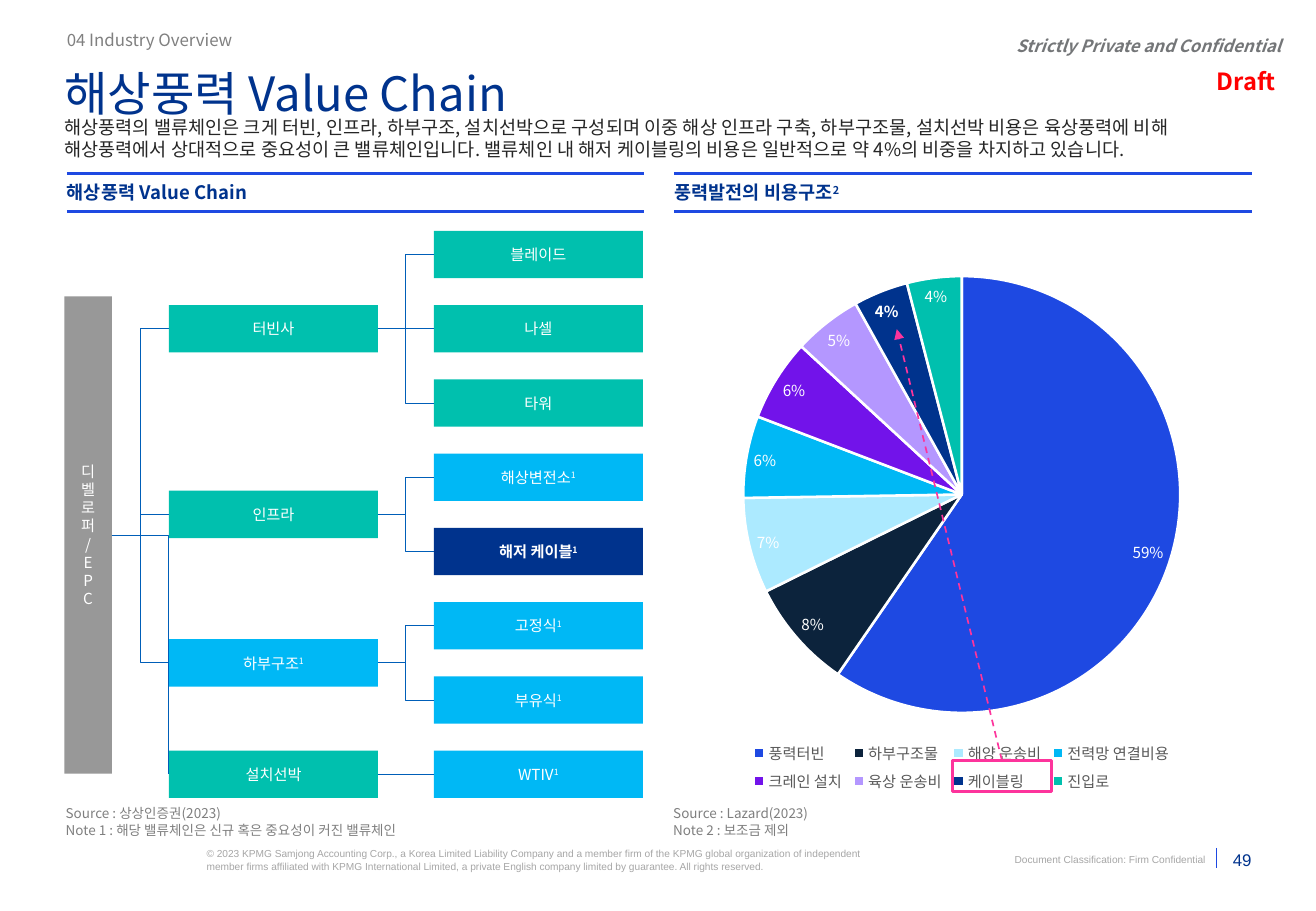
from lxml import etree
from pptx import Presentation
from pptx.chart.data import CategoryChartData
from pptx.dml.color import RGBColor
from pptx.enum.chart import XL_CHART_TYPE, XL_LABEL_POSITION, XL_LEGEND_POSITION
from pptx.enum.dml import MSO_LINE
from pptx.enum.shapes import MSO_CONNECTOR, MSO_SHAPE
from pptx.enum.text import MSO_ANCHOR as ANCHOR, PP_ALIGN as ALIGN
from pptx.oxml import parse_xml
from pptx.oxml.ns import nsdecls, qn
from pptx.util import Inches, Pt

FONT = "Noto Sans CJK KR"
NAVY, BLUE, TEAL, SKY, PINK = "00338D", "1E49E2", "00C0AE", "00B8F5", "FD349C"
GRAY, LIGHT_GRAY, WHITE, LINK = "7F7F7F", "A6A6A6", "FFFFFF", "005EB8"

SUMMARY = (
    "해상풍력의 밸류체인은 크게 터빈, 인프라, 하부구조, 설치선박으로 구성되며 이중 해상 인프라 구축, "
    "하부구조물, 설치선박 비용은 육상풍력에 비해 해상풍력에서 상대적으로 중요성이 큰 밸류체인입니다. "
    "밸류체인 내 해저 케이블링의 비용은 일반적으로 약 4%의 비중을 차지하고 있습니다."
)
COPYRIGHT = (
    "© 2023 KPMG Samjong Accounting Corp., a Korea Limited Liability Company and a member firm of the "
    "KPMG global organization of independent member firms affiliated with KPMG International Limited, "
    "a private English company limited by guarantee. All rights reserved."
)
PANELS = [
    (0.55, "해상풍력 Value Chain", "", ["Source : 상상인증권(2023)", "Note 1 : 해당 밸류체인은 신규 혹은 중요성이 커진 밸류체인"]),
    (5.55, "풍력발전의 비용구조", "2", ["Source : Lazard(2023)", "Note 2 : 보조금 제외"]),
]
DEVELOPER = ["디", "벨", "로", "퍼", "/", "E", "P", "C"]
CHAIN = [
    ("터빈사", "", TEAL, [("블레이드", "", TEAL), ("나셀", "", TEAL), ("타워", "", TEAL)]),
    ("인프라", "", TEAL, [("해상변전소", "1", SKY), ("해저 케이블", "1", NAVY)]),
    ("하부구조", "1", SKY, [("고정식", "1", SKY), ("부유식", "1", SKY)]),
    ("설치선박", "", TEAL, [("WTIV", "1", SKY)]),
]
COSTS = [
    ("풍력터빈", 0.59, BLUE), ("하부구조물", 0.08, "0C233C"), ("해양 운송비", 0.07, "ACEAFF"),
    ("전력망 연결비용", 0.06, SKY), ("크레인 설치", 0.06, "7213EA"), ("육상 운송비", 0.05, "B497FF"),
    ("케이블링", 0.04, NAVY), ("진입로", 0.04, TEAL),
]
CABLE_INDEX = 6
PANEL_WIDTH, PANEL_TOP, PANEL_BOTTOM = 4.75, 1.43, 1.74
BOX_WIDTH, BOX_HEIGHT = 1.72, 0.39
PARENT_LEFT, CHILD_LEFT = 1.39, 3.57
ROW_TOP, ROW_PITCH = 1.9, 0.6114

presentation = Presentation()
presentation.slide_width = Inches(10.83)
presentation.slide_height = Inches(7.5)
slide = presentation.slides.add_slide(presentation.slide_layouts[6])
shapes = slide.shapes


def rgb(color):
    return RGBColor.from_string(color)


def style_font(font, size, color, bold=False, italic=False, name=FONT):
    font.size, font.bold, font.italic, font.name = Pt(size), bold, italic, name
    font.color.rgb = rgb(color)


def write(shape, lines, size, color, align=ALIGN.LEFT, anchor=ANCHOR.TOP, margin=0,
          wrap=True, spacing=None, note="", **style):
    frame = shape.text_frame
    frame.word_wrap = wrap
    frame.vertical_anchor = anchor
    frame.margin_left = frame.margin_right = frame.margin_top = frame.margin_bottom = Inches(margin)
    frame.text = "\n".join(lines)
    if note:
        run = frame.paragraphs[-1].add_run()
        run.text = note
        run.font._element.set("baseline", "30000")
    for paragraph in frame.paragraphs:
        paragraph.alignment = align
        if spacing:
            paragraph.line_spacing = Pt(spacing)
        for run in paragraph.runs:
            style_font(run.font, size, color, **style)
            east_asian = etree.SubElement(run.font._element, qn("a:ea"))
            east_asian.set("typeface", style.get("name", FONT))


def add_text(left, top, width, height, lines, size, color, **options):
    box = shapes.add_textbox(Inches(left), Inches(top), Inches(width), Inches(height))
    write(box, lines, size, color, **options)


def add_box(left, top, width, height, lines, fill, **options):
    box = shapes.add_shape(MSO_SHAPE.RECTANGLE, Inches(left), Inches(top), Inches(width), Inches(height))
    box.shadow.inherit = False
    box.fill.solid()
    box.fill.fore_color.rgb = rgb(fill)
    box.line.fill.background()
    write(box, lines, 9, WHITE, align=ALIGN.CENTER, anchor=ANCHOR.MIDDLE, margin=0.06, **options)
    return box


def add_line(x1, y1, x2, y2, color, width, kind=MSO_CONNECTOR.STRAIGHT):
    line = shapes.add_connector(kind, Inches(x1), Inches(y1), Inches(x2), Inches(y2))
    line.line.color.rgb = rgb(color)
    line.line.width = Pt(width)
    etree.SubElement(line._element.spPr, qn("a:effectLst"))
    return line


def link(start, end):
    kind = MSO_CONNECTOR.STRAIGHT if start.top == end.top else MSO_CONNECTOR.ELBOW
    line = add_line(0, 0, 1, 1, LINK, 0.5, kind)
    line.begin_connect(start, 3)
    line.end_connect(end, 1)


def add_tree():
    developer = add_box(0.53, 2.44, BOX_HEIGHT, 3.93, DEVELOPER, "989898", spacing=10.8)
    developer_right, developer_middle = 0.92, 4.41
    trunk = (developer_right + PARENT_LEFT) / 2
    row = 0
    for name, note, fill, children in CHAIN:
        parent_top = ROW_TOP + ROW_PITCH * (row + (len(children) - 1) / 2)
        parent_middle = parent_top + BOX_HEIGHT / 2
        parent = add_box(PARENT_LEFT, parent_top, BOX_WIDTH, BOX_HEIGHT, [name], fill, note=note)
        for child_name, child_note, child_fill in children:
            child = add_box(CHILD_LEFT, ROW_TOP + ROW_PITCH * row, BOX_WIDTH, BOX_HEIGHT, [child_name],
                            child_fill, note=child_note, bold=child_fill == NAVY)
            link(parent, child)
            row += 1
        if name == "인프라":
            add_line(trunk, parent_middle, PARENT_LEFT, parent_middle, LINK, 0.5).end_connect(parent, 1)
        elif name == "설치선박":
            corner = add_line(developer_right, developer_middle, PARENT_LEFT, parent_middle, LINK, 0.5,
                              MSO_CONNECTOR.ELBOW)
            corner._element.spPr.find(qn("a:prstGeom")).set("prst", "bentConnector2")
        else:
            link(developer, parent)


def set_layout(parent, x, y, w, h, inner=False):
    for old in parent.findall(qn("c:layout")):
        parent.remove(old)
    target = '<c:layoutTarget val="inner"/>' if inner else ""
    sizes = "".join(f'<c:{key} val="{value}"/>' for key, value in zip("xywh", (x, y, w, h)))
    layout = parse_xml(
        f'<c:layout {nsdecls("c")}><c:manualLayout>{target}<c:xMode val="edge"/><c:yMode val="edge"/>'
        f"{sizes}</c:manualLayout></c:layout>")
    position = parent.find(qn("c:legendPos"))
    parent.insert(0 if position is None else 1, layout)


def add_cost_chart():
    data = CategoryChartData(number_format="0%")
    data.categories = [name for name, _, _ in COSTS]
    data.add_series("Series 1", [value for _, value, _ in COSTS])
    chart = shapes.add_chart(XL_CHART_TYPE.PIE, Inches(5.53), Inches(1.9), Inches(4.77), Inches(4.67), data).chart
    style_font(chart.font, 9, "000000")
    chart.has_title = False
    chart.has_legend = True
    chart.legend.position = XL_LEGEND_POSITION.BOTTOM
    chart.legend.include_in_layout = False
    style_font(chart.legend.font, 9, "595959")
    plot = chart.plots[0]
    plot.vary_by_categories = True
    series = plot.series[0]
    for index, (_, _, color) in enumerate(COSTS):
        slice_format = series.points[index].format
        slice_format.fill.solid()
        slice_format.fill.fore_color.rgb = rgb(color)
        slice_format.line.color.rgb = rgb(WHITE)
        slice_format.line.width = Pt(1.5)
    labels = series.data_labels
    labels.show_value = True
    labels.show_percentage = False
    labels.number_format, labels.number_format_is_linked = "0%", False
    labels.position = XL_LABEL_POSITION.BEST_FIT
    style_font(labels.font, 9, WHITE)
    cable_label = series.points[CABLE_INDEX].data_label
    style_font(cable_label.font, 9, WHITE, bold=True)
    cable_label.position = XL_LABEL_POSITION.BEST_FIT
    set_layout(chart._chartSpace.chart.plotArea, 0.12, 0.08, 0.76, 0.77, inner=True)
    set_layout(chart.legend._element, 0.13, 0.89, 0.74, 0.11)


def add_cable_callout():
    frame = shapes.add_shape(MSO_SHAPE.RECTANGLE, Inches(7.84), Inches(6.26), Inches(0.81), Inches(0.26))
    frame.shadow.inherit = False
    frame.fill.background()
    frame.line.color.rgb = rgb(PINK)
    frame.line.width = Pt(1.75)
    arrow = add_line(8.24, 6.26, 7.38, 2.71, PINK, 1)
    arrow.begin_connect(frame, 0)
    arrow.line.dash_style = MSO_LINE.DASH
    etree.SubElement(arrow.line._get_or_add_ln(), qn("a:tailEnd")).set("type", "triangle")


add_text(10.03, 7, 0.27, 0.16, ["49"], 10, NAVY, align=ALIGN.RIGHT, anchor=ANCHOR.BOTTOM, name="Arial")
add_text(7.92, 7.03, 2, 0.1, ["Document Classification: Firm Confidential"], 6, LIGHT_GRAY,
         align=ALIGN.RIGHT, name="Arial")
add_line(10.01, 6.98, 10.01, 7.15, BLUE, 0.5)
add_text(1.7, 6.98, 5.59, 0.2, [COPYRIGHT], 6, LIGHT_GRAY, name="Arial")
add_text(8.04, 0.28, 2.5, 0.2, ["Strictly Private and Confidential"], 10, "747678", align=ALIGN.RIGHT,
         anchor=ANCHOR.MIDDLE, bold=True, italic=True)
add_text(8.58, 0.55, 1.92, 0.24, ["Draft"], 14, "FF0000", align=ALIGN.RIGHT, anchor=ANCHOR.MIDDLE, bold=True)
add_text(0.55, 0.21, 6, 0.23, ["04 Industry Overview"], 10, "808080", anchor=ANCHOR.MIDDLE)
add_text(0.53, 0.96, 9.76, 0.37, [SUMMARY], 11, "262626", spacing=13)
add_text(0.53, 0.48, 9.76, 0.47, ["해상풍력 Value Chain"], 28, NAVY, spacing=37)
for left, heading, note, sources in PANELS:
    add_text(left, PANEL_TOP, PANEL_WIDTH, PANEL_BOTTOM - PANEL_TOP, [heading], 11, NAVY,
             anchor=ANCHOR.MIDDLE, note=note, bold=True)
    for y in (PANEL_TOP, PANEL_BOTTOM):
        add_line(left, y, left + PANEL_WIDTH, y, BLUE, 1.5)
    add_text(left - 0.01, 6.63, 4.78, 0.31, sources, 8, GRAY, spacing=9.6)
add_tree()
add_cost_chart()
add_cable_callout()
presentation.save("out.pptx")
